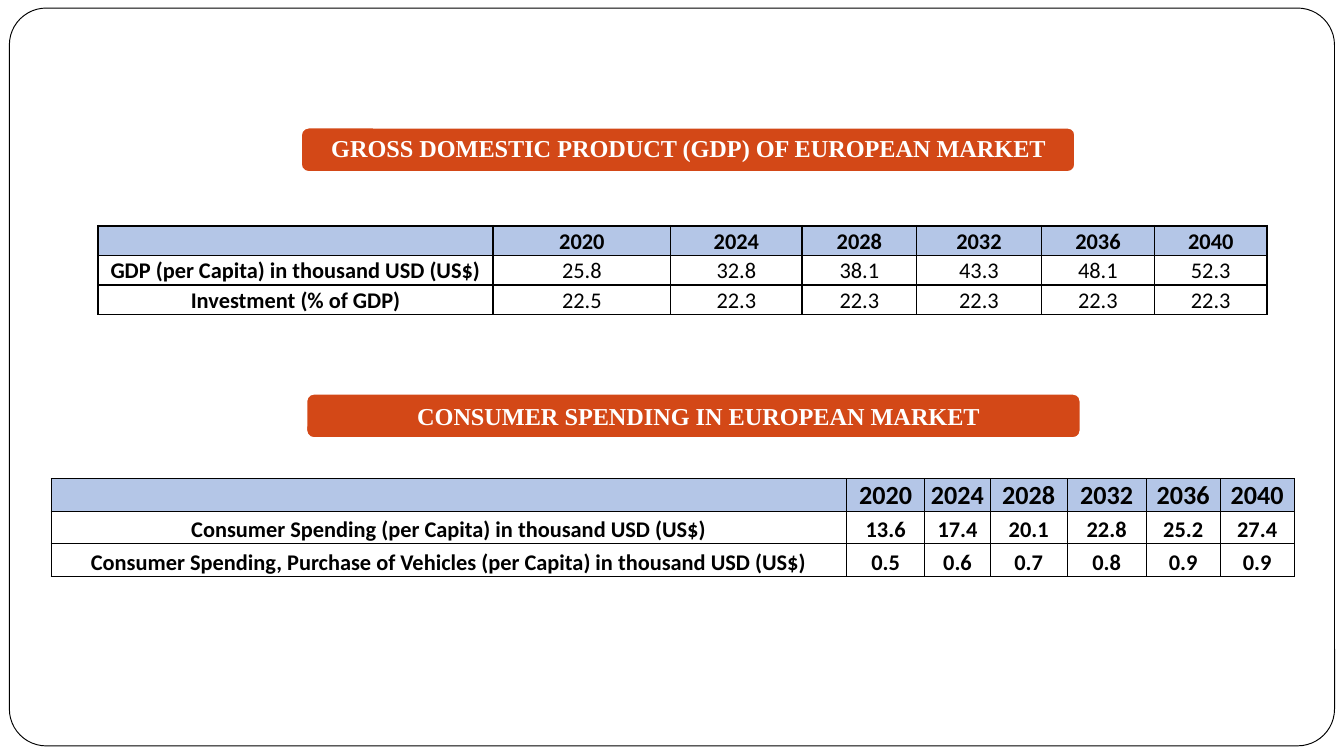
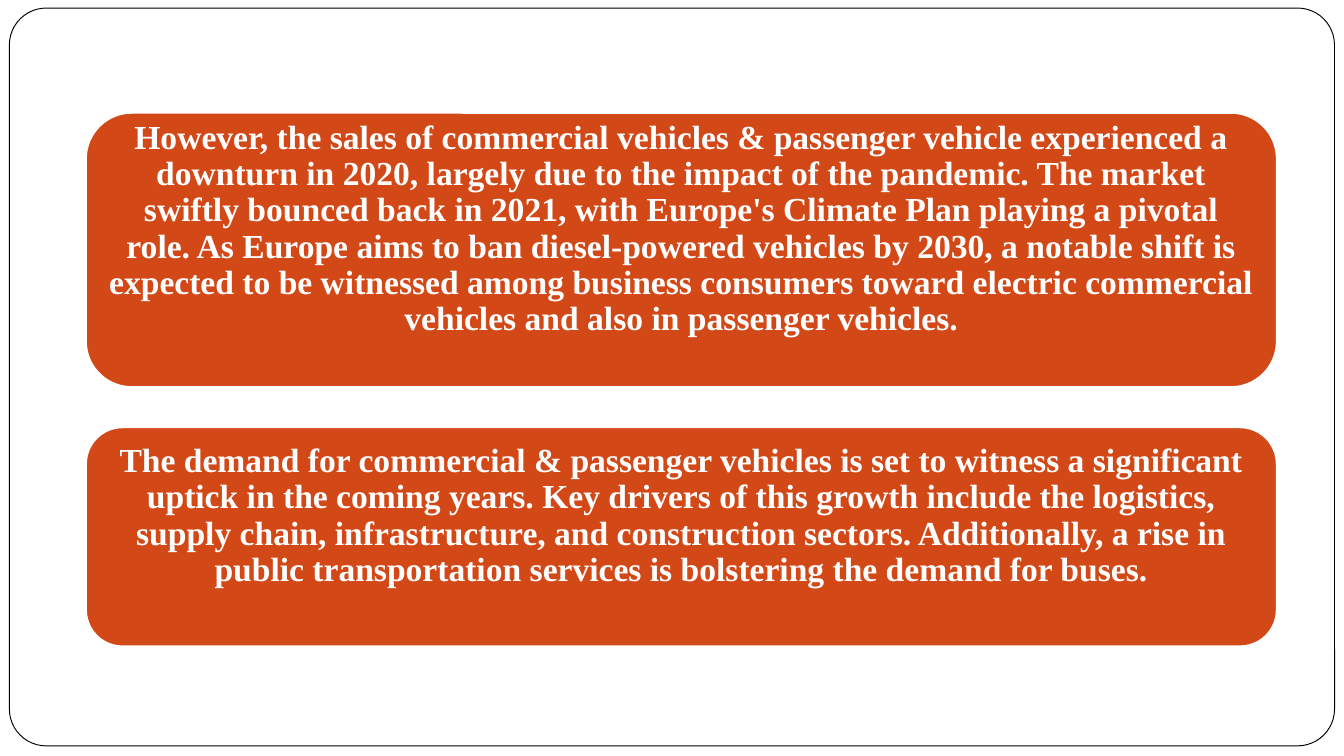
from dataclasses import dataclass

from lxml import etree
from pptx import Presentation
from pptx import util as u
from pptx.dml.color import RGBColor
from pptx.enum import shapes, text
from pptx.oxml import ns


@dataclass(frozen=True)
class Theme:
    accent: str = "D34817"
    header: str = "B4C6E7"
    white: str = "FFFFFF"
    black: str = "000000"
    serif: str = "Times New Roman"
    sans: str = "Calibri"
    banner_size: int = 13
    panel_size: int = 18
    cell_size: int = 12


THEME = Theme()
YEARS = ["2020", "2024", "2028", "2032", "2036", "2040"]

# Content: boxes are left, top, width, height in inches
SECTIONS = [
    {
        "title": "GROSS DOMESTIC PRODUCT (GDP) OF EUROPEAN MARKET",
        "banner": (2.24, 0.95, 5.76, 0.33),
        "margins": (0.05, 0.05, 0.05, 0.05),
        "origin": (0.73, 1.68),
        "columns": [2.94, 1.32, 0.98, 0.85, 0.93, 0.84, 0.84],
        "row_height": 0.22,
        "border": 1,
        "header_size": 12,
        "bold_values": False,
        "rows": [
            ["GDP (per Capita) in thousand USD (US$)",
             "25.8", "32.8", "38.1", "43.3", "48.1", "52.3"],
            ["Investment (% of GDP)",
             "22.5", "22.3", "22.3", "22.3", "22.3", "22.3"],
        ],
    },
    {
        "title": "CONSUMER SPENDING IN EUROPEAN MARKET",
        "banner": (2.28, 2.93, 5.76, 0.33),
        "margins": (0.12, 0.08, 0.05, 0.05),
        "origin": (0.38, 3.56),
        "columns": [5.92, 0.58, 0.49, 0.57, 0.59, 0.55, 0.55],
        "row_height": 0.24,
        "border": 0.5,
        "header_size": 14,
        "bold_values": True,
        "rows": [
            ["Consumer Spending (per Capita) in thousand USD (US$)",
             "13.6", "17.4", "20.1", "22.8", "25.2", "27.4"],
            ["Consumer Spending, Purchase of Vehicles (per Capita) in thousand USD (US$)",
             "0.5", "0.6", "0.7", "0.8", "0.9", "0.9"],
        ],
    },
]

PANELS = [
    ((0.64, 0.84, 8.86, 2.04),
     "However, the sales of commercial vehicles & passenger vehicle experienced a "
     "downturn in 2020, largely due to the impact of the pandemic. The market "
     "swiftly bounced back in 2021, with Europe's Climate Plan playing a pivotal "
     "role. As Europe aims to ban diesel-powered vehicles by 2030, a notable shift "
     "is expected to be witnessed among business consumers toward electric "
     "commercial vehicles and also in passenger vehicles."),
    ((0.64, 3.18, 8.86, 1.63),
     "The demand for commercial & passenger vehicles is set to witness a "
     "significant uptick in the coming years. Key drivers of this growth include "
     "the logistics, supply chain, infrastructure, and construction sectors. "
     "Additionally, a rise in public transportation services is bolstering the "
     "demand for buses."),
]


def color(value):
    return RGBColor.from_string(value)


def add_rounded(slide, box, fill, line, line_width):
    shape = slide.shapes.add_shape(
        shapes.MSO_SHAPE.ROUNDED_RECTANGLE, *[u.Inches(n) for n in box])
    shape.shadow.inherit = False
    shape.fill.solid()
    shape.fill.fore_color.rgb = color(fill)
    shape.line.color.rgb = color(line)
    shape.line.width = u.Pt(line_width)
    return shape


def add_text(paragraph, content, font_name, size, ink, bold):
    paragraph.alignment = text.PP_ALIGN.CENTER
    run = paragraph.add_run()
    run.text = content
    run.font.name = font_name
    run.font.size = u.Pt(size)
    run.font.bold = bold
    run.font.color.rgb = color(ink)


def set_margins(target, left, top, right, bottom):
    target.margin_left, target.margin_top = u.Inches(left), u.Inches(top)
    target.margin_right, target.margin_bottom = u.Inches(right), u.Inches(bottom)


def add_label(slide, box, content, size, margins):
    """Accent box with centred white serif text."""
    shape = add_rounded(slide, box, THEME.accent, THEME.white, 1)
    frame = shape.text_frame
    frame.word_wrap = True
    frame.vertical_anchor = text.MSO_ANCHOR.MIDDLE
    set_margins(frame, *margins)
    paragraph = frame.paragraphs[0]
    paragraph.line_spacing = 0.9
    add_text(paragraph, content, THEME.serif, size, THEME.white, True)


def set_borders(cell, width):
    properties = cell._tc.get_or_add_tcPr()
    for side in ("lnL", "lnR", "lnT", "lnB"):
        line = etree.SubElement(properties, ns.qn("a:" + side), w=str(u.Pt(width)))
        fill = etree.SubElement(line, ns.qn("a:solidFill"))
        etree.SubElement(fill, ns.qn("a:srgbClr"), val=THEME.black)


def add_data_table(slide, section):
    rows = [[""] + YEARS] + section["rows"]
    columns, row_height = section["columns"], section["row_height"]
    left, top = section["origin"]
    table = slide.shapes.add_table(
        len(rows), len(columns), u.Inches(left), u.Inches(top),
        u.Inches(sum(columns)), u.Inches(row_height * len(rows))).table
    table.first_row = table.horz_banding = False
    for column, width in zip(table.columns, columns):
        column.width = u.Inches(width)

    for i, values in enumerate(rows):
        table.rows[i].height = u.Inches(row_height)
        size = THEME.cell_size if i else section["header_size"]
        for j, value in enumerate(values):
            cell = table.cell(i, j)
            set_borders(cell, section["border"])
            if i:
                cell.fill.background()
            else:
                cell.fill.solid()
                cell.fill.fore_color.rgb = color(THEME.header)
            cell.vertical_anchor = text.MSO_ANCHOR.BOTTOM
            set_margins(cell, 0.01, 0.01, 0.01, 0)
            paragraph = cell.text_frame.paragraphs[0]
            if value:
                bold = i == 0 or j == 0 or section["bold_values"]
                add_text(paragraph, value, THEME.sans, size, THEME.black, bold)
            else:
                # Keeps the empty cell from stretching its row
                etree.SubElement(paragraph._p, ns.qn("a:endParaRPr"), sz=str(size * 100))


def add_framed_slide(presentation):
    slide = presentation.slides.add_slide(presentation.slide_layouts[6])
    frame = add_rounded(slide, (0.07, 0.06, 9.86, 5.49), THEME.white, THEME.black, 0.5)
    frame.adjustments[0] = 0.05
    return slide


def main():
    presentation = Presentation()
    presentation.slide_width = u.Inches(10)
    presentation.slide_height = presentation.slide_width * 9 // 16

    # Market tables
    slide = add_framed_slide(presentation)
    for section in SECTIONS:
        add_label(slide, section["banner"], section["title"],
                  THEME.banner_size, section["margins"])
        add_data_table(slide, section)

    # Vehicle outlook: the text sits above the middle of each panel
    slide = add_framed_slide(presentation)
    for box, content in PANELS:
        add_label(slide, box, content, THEME.panel_size, (0.07, 0.07, 0.07, 0.38))

    presentation.save("out.pptx")


if __name__ == "__main__":
    main()
